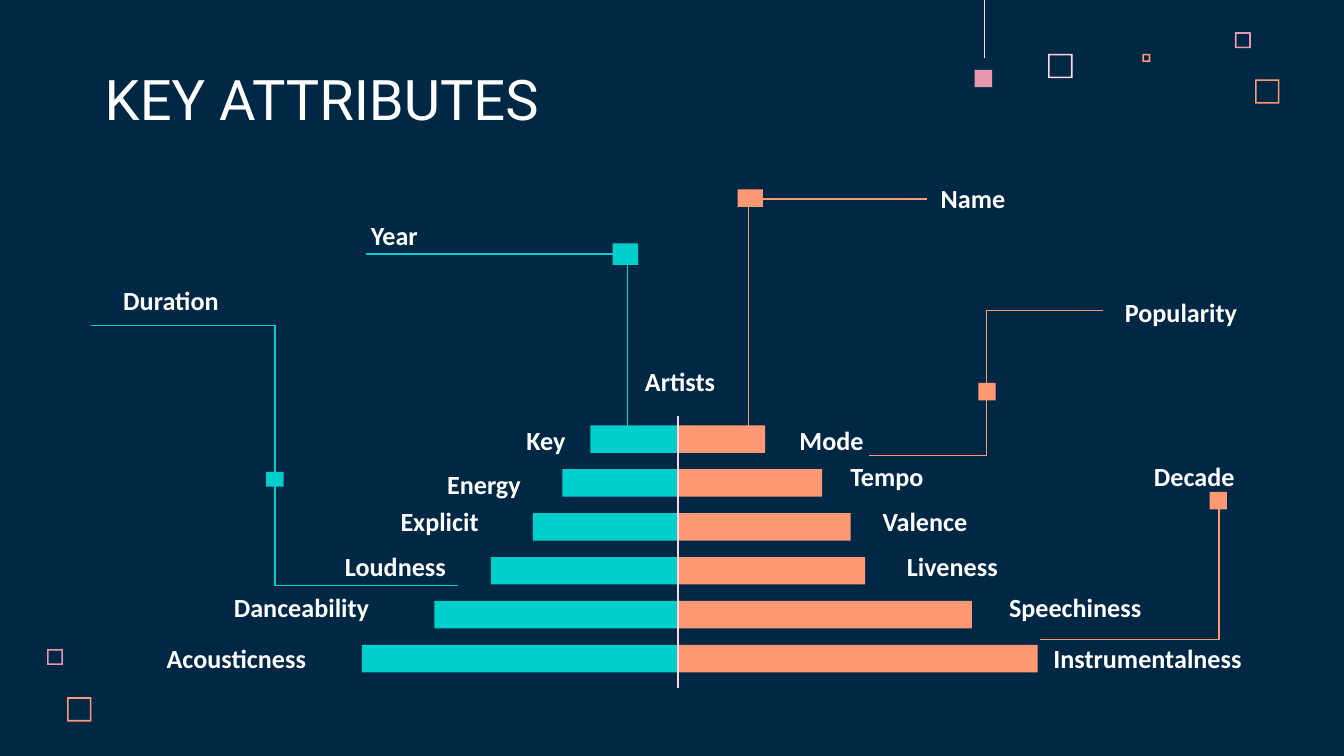
from dataclasses import dataclass

from lxml import etree
from pptx import Presentation
from pptx.dml.color import RGBColor
from pptx.enum.shapes import MSO_CONNECTOR as Line, MSO_SHAPE as Shape
from pptx.enum.text import MSO_ANCHOR as Anchor
from pptx.oxml.ns import qn
from pptx.util import Cm, Pt


@dataclass(frozen=True)
class Theme:
    navy: str = "002845"
    teal: str = "00CFCC"
    coral: str = "FF9973"
    pink: str = "E898AC"
    blush: str = "FFD6E1"
    white: str = "FFFFFF"
    heading: str = "Roboto"
    body: str = "Calibri"
    title_size: float = 30
    label_size: float = 14
    line: float = 0.75


T = Theme()
LABEL_H = 1.12


# Basic parts
def add_text(s, box, text, size=T.label_size, font=T.body, bold=True, anchor=Anchor.TOP):
    tf = s.shapes.add_textbox(*map(Cm, box)).text_frame
    tf.word_wrap = True
    tf.vertical_anchor = anchor
    tf.margin_left = tf.margin_right = tf.margin_top = tf.margin_bottom = Cm(0.25)
    r = tf.paragraphs[0].add_run()
    r.text = text
    r.font.size, r.font.name, r.font.bold = Pt(size), font, bold
    r.font.color.rgb = RGBColor.from_string(T.white)


def add_block(s, box, color, kind=Shape.RECTANGLE):
    sp = s.shapes.add_shape(kind, *map(Cm, box))
    sp.shadow.inherit = False
    sp.fill.solid()
    sp.fill.fore_color.rgb = RGBColor.from_string(color)
    sp.line.fill.background()
    return sp


def add_line(s, start, end, color, kind=Line.STRAIGHT, width=T.line):
    ln = s.shapes.add_connector(kind, *map(Cm, (*start, *end)))
    ln.line.color.rgb = RGBColor.from_string(color)
    ln.line.width = Pt(width)
    etree.SubElement(ln._element.spPr, qn("a:effectLst"))
    return ln


def add_elbow(s, start, end, color, bend):
    """Bend is the share of the width where the line turns; None turns once only."""
    ln = add_line(s, start, end, color, Line.ELBOW)
    geom = ln._element.spPr.find(qn("a:prstGeom"))
    if bend is None:
        geom.set("prst", "bentConnector2")
    else:
        gd = etree.SubElement(geom.find(qn("a:avLst")), qn("a:gd"))
        gd.set("name", "adj1")
        gd.set("fmla", f"val {round(bend * 100000)}")


# Regions
def decoration(s, box, frames):
    x, y = box
    for dx, dy, size, color in frames:
        sp = add_block(s, (x + dx, y + dy, size, size), color, Shape.FRAME)
        sp.adjustments[0] = 0.03 / size


def pendant(s, box):
    x, y, size, drop = box
    add_block(s, (x, y + drop, size, size), T.pink)
    add_line(s, (x + 0.18, y), (x + 0.18, y + drop - 0.23), T.blush, width=0.5)


def pyramid(s, box, sides):
    """Bars grow to both sides of an axis; labels are placed from the axis and row top."""
    axis, top, pitch, bar_h = box
    for direction, color, rows in sides:
        for i, (length, text, dx, dy, label_w) in enumerate(rows):
            y = top + i * pitch
            add_block(s, (min(axis, axis + direction * length), y, length, bar_h), color)
            add_text(s, (axis + dx, y + dy, label_w, LABEL_H), text)
    add_line(s, (axis, top - 0.17), (axis, top + 4.96), T.blush)
    add_text(s, (axis - 0.87, top - 1.39, 2.16, LABEL_H), "Artists")


def callout(s, box, text, color, start, end, bend, marker):
    """Line and marker are placed from the corner of the label box."""
    x, y, w = box
    add_text(s, (x, y, w, LABEL_H), text)
    add_elbow(s, (x + start[0], y + start[1]), (x + end[0], y + end[1]), color, bend)
    dx, dy, mw, mh = marker
    add_block(s, (x + dx, y + dy, mw, mh), color)


# Bar length, label, label offset from axis and row top, label width
LEFT_ROWS = [
    (1.65, "Key", -3.11, -0.27, 1.47),
    (2.18, "Energy", -4.61, -0.26, 2.39),
    (2.74, "Explicit", -5.49, -0.40, 2.39),
    (3.53, "Loudness", -6.54, -0.37, 2.95),
    (4.60, "Danceability", -8.64, -0.44, 3.86),
    (5.97, "Acousticness", -9.91, -0.30, 3.91),
]
RIGHT_ROWS = [
    (1.65, "Mode", 2.05, -0.27, 2.16),
    (2.73, "Tempo", 3.01, -0.41, 2.79),
    (3.27, "Valence", 3.62, -0.40, 2.77),
    (3.54, "Liveness", 4.08, -0.37, 3.28),
    (5.56, "Speechiness", 6.01, -0.44, 3.56),
    (6.80, "Instrumentalness", 6.85, -0.30, 5.21),
]

# Label box, label, colour, line start, line end, bend, marker
CALLOUTS = [
    ((2.08, 5.13, 3.23), "Duration", T.teal, (-0.35, 1.02), (6.58, 5.94), 0.5,
     (2.95, 3.79, 0.33, 0.28)),
    ((6.76, 3.89, 1.98), "Year", T.teal, (0.15, 0.91), (4.42, 4.44), 1.16,
     (4.82, 0.71, 0.48, 0.41)),
    ((17.53, 3.20, 1.98), "Name", T.coral, (0, 0.56), (-3.38, 5.23), None,
     (-3.59, 0.38, 0.48, 0.33)),
    ((21.01, 5.36, 3.23), "Popularity", T.coral, (-0.16, 0.51), (-4.58, 3.25), 0.5,
     (-2.52, 1.88, 0.33, 0.33)),
    ((21.56, 8.46, 2.95), "Decade", T.coral, (-1.90, 3.63), (1.48, 1.09), None,
     (1.30, 0.84, 0.33, 0.33)),
]


def main():
    prs = Presentation()
    prs.slide_width, prs.slide_height = Cm(25.4), Cm(14.29)
    s = prs.slides.add_slide(prs.slide_layouts[6])
    s.background.fill.solid()
    s.background.fill.fore_color.rgb = RGBColor.from_string(T.navy)

    # Corner squares
    decoration(s, (19.81, 0.61), [
        (0, 0.41, 0.46, T.blush), (3.53, 0, 0.30, T.pink),
        (1.78, 0.41, 0.15, T.coral), (3.91, 0.89, 0.46, T.coral)])
    decoration(s, (0.89, 12.27), [(0, 0, 0.30, T.pink), (0.38, 0.91, 0.46, T.coral)])
    pendant(s, (18.42, 0, 0.33, 1.32))

    # Title and diagram
    add_text(s, (1.73, 1.14, 13.13, 1.6), "KEY ATTRIBUTES", size=T.title_size,
             font=T.heading, bold=False, anchor=Anchor.BOTTOM)
    pyramid(s, (12.81, 8.04, 0.83, 0.52),
            [(1, T.coral, RIGHT_ROWS), (-1, T.teal, LEFT_ROWS)])
    for item in CALLOUTS:
        callout(s, *item)

    prs.save("out.pptx")


if __name__ == "__main__":
    main()
